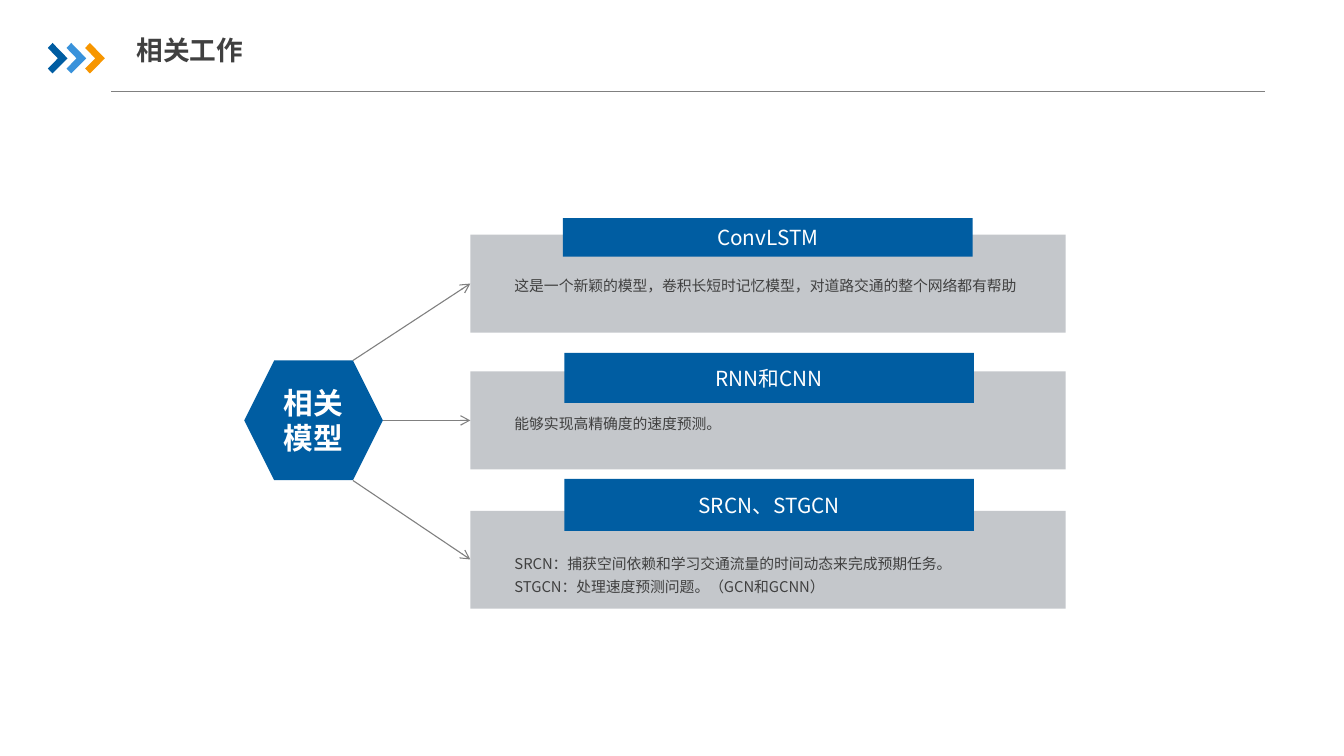
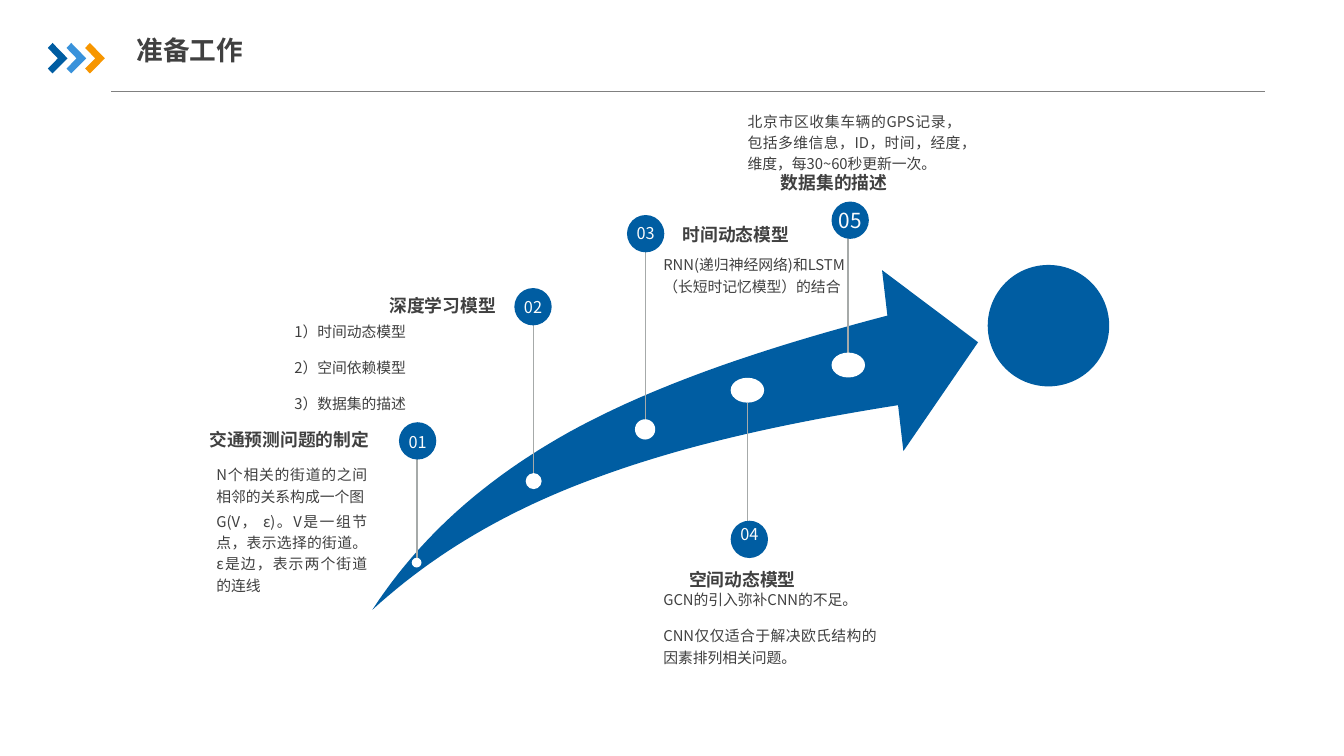
from dataclasses import dataclass, replace
from typing import NamedTuple, Optional

from lxml import etree
from pptx import Presentation
from pptx.dml.color import RGBColor
from pptx.enum.shapes import MSO_CONNECTOR, MSO_SHAPE
from pptx.enum.text import MSO_ANCHOR, PP_ALIGN
from pptx.oxml.ns import qn
from pptx.slide import Slide
from pptx.text.text import TextFrame
from pptx.util import Pt

LEFT, CENTER, RIGHT, JUSTIFY = PP_ALIGN.LEFT, PP_ALIGN.CENTER, PP_ALIGN.RIGHT, PP_ALIGN.JUSTIFY
TOP, MIDDLE = MSO_ANCHOR.TOP, MSO_ANCHOR.MIDDLE
RECTANGLE, HEXAGON, OVAL = MSO_SHAPE.RECTANGLE, MSO_SHAPE.HEXAGON, MSO_SHAPE.OVAL
STRAIGHT = MSO_CONNECTOR.STRAIGHT

FONT = "Noto Sans CJK SC"
BLUE, SKY, ORANGE = "005DA2", "3992DB", "F79600"
WHITE, PALE, SILVER = "FFFFFF", "FCFCFC", "C4C7CB"
INK, RULE_GRAY, STEM_GRAY = "404040", "808080", "A6AAA9"


class Point(NamedTuple):
    x: float
    y: float


class Frame(NamedTuple):
    left: float
    top: float
    width: float
    height: float


class Insets(NamedTuple):
    side: float
    end: float


@dataclass(frozen=True)
class Style:
    size: float
    color: str = INK
    bold: bool = False
    align: PP_ALIGN = LEFT
    anchor: MSO_ANCHOR = MIDDLE
    line_spacing: float = 1.0
    space_before: float = 0
    insets: Insets = Insets(0, 0)


@dataclass(frozen=True)
class Model:
    name: str
    lines: tuple[str, ...]
    panel_top: float
    bar: Frame
    text_top: float
    text_height: float
    arrow_start: Point
    arrow_end_y: float


@dataclass(frozen=True)
class Stage:
    number: str
    number_top: float
    badge: Point
    dot: Frame
    stem: tuple[Point, Point]
    heading: str
    heading_frame: Frame
    lines: tuple[str, ...]
    body_frame: Frame
    number_size: float = 11
    heading_align: PP_ALIGN = LEFT
    space_before: float = 10
    insets: Insets = Insets(0, 0)


TIGHT, ROOMY = Insets(6, 3), Insets(7.2, 3.6)
TITLE = Style(18, bold=True, insets=Insets(0, 3.6))
BAR = Style(14, WHITE, align=CENTER, insets=TIGHT)
HUB = Style(20, WHITE, bold=True, align=CENTER, insets=TIGHT)
MODEL_TEXT = Style(10, anchor=TOP, line_spacing=1.3, insets=TIGHT)
STAGE_HEADING = Style(12, bold=True, line_spacing=0.9)
STAGE_BODY = Style(10, align=JUSTIFY, anchor=TOP, line_spacing=1.2)
BADGE_SIZE = 25.2


# Drawing helpers
def rgb(color: str) -> RGBColor:
    return RGBColor.from_string(color)


def write(text: TextFrame, lines: tuple[str, ...], style: Style) -> None:
    text.word_wrap = True
    text.vertical_anchor = style.anchor
    text.margin_left = text.margin_right = Pt(style.insets.side)
    text.margin_top = text.margin_bottom = Pt(style.insets.end)
    for index, line in enumerate(lines):
        para = text.add_paragraph() if index else text.paragraphs[0]
        para.alignment = style.align
        para.line_spacing = style.line_spacing
        para.space_before = Pt(style.space_before)
        font = para.font
        font.size, font.bold, font.name = Pt(style.size), style.bold, FONT
        font.color.rgb = rgb(style.color)
        defaults = para._p.pPr.find(qn("a:defRPr"))
        etree.SubElement(defaults, qn("a:ea"), typeface=FONT)
        para.add_run().text = line


def add_text(page: Slide, frame: Frame, lines: tuple[str, ...], style: Style) -> None:
    box = page.shapes.add_textbox(*map(Pt, frame))
    write(box.text_frame, lines, style)


def add_block(page: Slide, kind: MSO_SHAPE, frame: Frame, color: str,
              label: str = "", style: Optional[Style] = None) -> None:
    block = page.shapes.add_shape(kind, *map(Pt, frame))
    block.shadow.inherit = False
    block.fill.solid()
    block.fill.fore_color.rgb = rgb(color)
    block.line.fill.background()
    if style:
        write(block.text_frame, (label,), style)


def add_outline(page: Slide, points: list[Point], color: str) -> None:
    corners = [(Pt(point.x), Pt(point.y)) for point in points]
    builder = page.shapes.build_freeform(*corners[0])
    builder.add_line_segments(corners[1:], close=True)
    outline = builder.convert_to_shape()
    outline.shadow.inherit = False
    outline.fill.solid()
    outline.fill.fore_color.rgb = rgb(color)
    outline.line.fill.background()


def add_line(page: Slide, start: Point, end: Point, color: str,
             width: float, arrow: bool = False) -> None:
    line = page.shapes.add_connector(STRAIGHT, *map(Pt, (*start, *end)))
    line.line.color.rgb = rgb(color)
    line.line.width = Pt(width)
    properties = line._element.spPr
    if arrow:
        etree.SubElement(properties.find(qn("a:ln")), qn("a:tailEnd"), type="arrow")
    etree.SubElement(properties, qn("a:effectLst"))


def curve(start: Point, first: Point, second: Point, end: Point, steps: int = 24) -> list[Point]:
    """Points along a cubic curve, without its start."""
    points = []
    for step in range(1, steps + 1):
        t = step / steps
        weights = ((1 - t) ** 3, 3 * t * (1 - t) ** 2, 3 * t ** 2 * (1 - t), t ** 3)
        pulls = (start, first, second, end)
        points.append(Point(sum(w * p.x for w, p in zip(weights, pulls)),
                            sum(w * p.y for w, p in zip(weights, pulls))))
    return points


# Shared header: rule, three chevrons and title
CHEVRON = (Point(0, 3.4), Point(3.2, 0), Point(13.3, 10.4),
           Point(3.2, 20.6), Point(0, 17.3), Point(6.8, 10.4))


def add_page(title: str) -> Slide:
    page = deck.slides.add_slide(deck.slide_layouts[6])
    add_line(page, Point(75, 62), Point(854, 62), RULE_GRAY, 0.75)
    for index, color in enumerate((BLUE, SKY, ORANGE)):
        left = 32.3 + 12.6 * index
        add_outline(page, [Point(left + p.x, 29 + p.y) for p in CHEVRON], color)
    add_text(page, Frame(92.2, 18.7, 639.4, 30.2), (title,), TITLE)
    return page


deck = Presentation()
deck.slide_width, deck.slide_height = Pt(907.2), Pt(510.5)

# Related work: one hub leading to three models
PANEL_LEFT, PANEL_WIDTH, PANEL_HEIGHT = 317.5, 401.8, 66.2
MODELS = (
    Model("ConvLSTM", ("这是一个新颖的模型，卷积长短时记忆模型，对道路交通的整个网络都有帮助",),
          158.4, Frame(380, 147.4, 276.5, 25.9), 180, 19.4, Point(238.3, 243.4), 191.5),
    Model("RNN和CNN", ("能够实现高精确度的速度预测。",),
          250.8, Frame(381, 238.3, 276.5, 33.8), 273.6, 19.4, Point(258.5, 283.9), 283.9),
    Model("SRCN、STGCN",
          ("SRCN：捕获空间依赖和学习交通流量的时间动态来完成预期任务。",
           "STGCN：处理速度预测问题。（GCN和GCNN）"),
          344.9, Frame(381, 323.3, 276.5, 35.3), 367.9, 36.7, Point(238.3, 324.5), 377.8),
)
related = add_page("相关工作")
add_block(related, HEXAGON, Frame(164.9, 243.4, 93.6, 80.9), BLUE, "相关模型", HUB)
for model in MODELS:
    add_block(related, RECTANGLE,
              Frame(PANEL_LEFT, model.panel_top, PANEL_WIDTH, PANEL_HEIGHT), SILVER)
    add_block(related, RECTANGLE, model.bar, BLUE, model.name, BAR)
    add_line(related, model.arrow_start, Point(PANEL_LEFT, model.arrow_end_y),
             RULE_GRAY, 0.75, arrow=True)
    add_text(related, Frame(341.3, model.text_top, 357.1, model.text_height),
             model.lines, MODEL_TEXT)

# Preparation: five stages along a rising arrow
STAGES = (
    Stage("01", 289.4, Point(269.3, 285.1), Frame(277.9, 376.6, 6.6, 6.6),
          (Point(281.5, 379.4), Point(281.5, 297.4)),
          "交通预测问题的制定", Frame(133.2, 285.1, 123.1, 24.5),
          ("N个相关的街道的之间相邻的关系构成一个图",
           "G(V， ε)。V是一组节点，表示选择的街道。 ε是边，表示两个街道的连线"),
          Frame(139, 308.9, 115.9, 93.6),
          heading_align=RIGHT, space_before=2.4, insets=ROOMY),
    Stage("02", 198, Point(347.2, 194.5), Frame(354.8, 319.5, 10.8, 10.8),
          (Point(360, 324.7), Point(360, 208.1)),
          "深度学习模型", Frame(201.6, 195.1, 133.2, 24.5),
          ("1）时间动态模型", "2）空间依赖模型", "3）数据集的描述"),
          Frame(198.7, 215.3, 133.2, 67.7), heading_align=RIGHT),
    Stage("03", 148.3, Point(423.2, 145.2), Frame(428.6, 283.1, 13.7, 13.7),
          (Point(435.6, 289.4), Point(435.6, 168.5)),
          "时间动态模型", Frame(460.8, 146.9, 109.4, 24.5),
          ("RNN(递归神经网络)和LSTM（长短时记忆模型）的结合",),
          Frame(447.8, 170.6, 122.4, 56.2)),
    Stage("04", 351.4, Point(493.2, 351.6), Frame(493.2, 255.1, 22.6, 16.8),
          (Point(504.7, 352.8), Point(504.7, 272.2)),
          "空间动态模型", Frame(465.1, 380.2, 109.4, 24.5),
          ("GCN的引入弥补CNN的不足。", "CNN仅仅适合于解决欧氏结构的因素排列相关问题。"),
          Frame(447.8, 396.7, 144, 56.2)),
    Stage("05", 136.1, Point(561.3, 136.1), Frame(561.3, 238.1, 22.6, 16.8),
          (Point(572.4, 239), Point(572.4, 158.4)),
          "数据集的描述", Frame(527, 113, 102.2, 22.3),
          ("北京市区收集车辆的GPS记录，包括多维信息，ID，时间，经度，维度，每30~60秒更新一次。",),
          Frame(504.7, 73.4, 144, 39.6), number_size=14),
)
TIP = Point(251.3, 411.8)
UPPER_BEND, UPPER_END = Point(384.5, 291.6), Point(599, 213.1)
LOWER_START, LOWER_BEND = Point(606.2, 273.6), Point(402.5, 322.6)
ARROW = [
    TIP,
    *curve(TIP, Point(283.7, 362.2), Point(327.6, 323.3), UPPER_BEND),
    *curve(UPPER_BEND, Point(442.1, 259.9), Point(514.1, 235.4), UPPER_END),
    Point(595.4, 182.4), Point(660.2, 231.1), Point(609.8, 304.6), LOWER_START,
    *curve(LOWER_START, Point(528.5, 285.8), Point(460.8, 301), LOWER_BEND),
    *curve(LOWER_BEND, Point(343.4, 344.2), Point(293.8, 373), TIP)[:-1],
]
preparation = add_page("准备工作")
add_outline(preparation, ARROW, BLUE)
add_block(preparation, OVAL, Frame(666.7, 178.9, 82, 82), BLUE)
for stage in STAGES:
    add_line(preparation, *stage.stem, STEM_GRAY, 1)
    add_block(preparation, OVAL, Frame(*stage.badge, BADGE_SIZE, BADGE_SIZE), BLUE)
    add_block(preparation, OVAL, stage.dot, WHITE)
    add_text(preparation, Frame(stage.badge.x, stage.number_top, BADGE_SIZE, 18),
             (stage.number,), Style(stage.number_size, PALE, align=CENTER)) \
        if stage.number_size == 11 else \
        add_text(preparation, Frame(*stage.badge, BADGE_SIZE, BADGE_SIZE),
                 (stage.number,), Style(stage.number_size, PALE, align=CENTER))
    add_text(preparation, stage.heading_frame, (stage.heading,),
             replace(STAGE_HEADING, align=stage.heading_align, insets=stage.insets))
    add_text(preparation, stage.body_frame, stage.lines,
             replace(STAGE_BODY, space_before=stage.space_before, insets=stage.insets))

deck.save("out.pptx")
